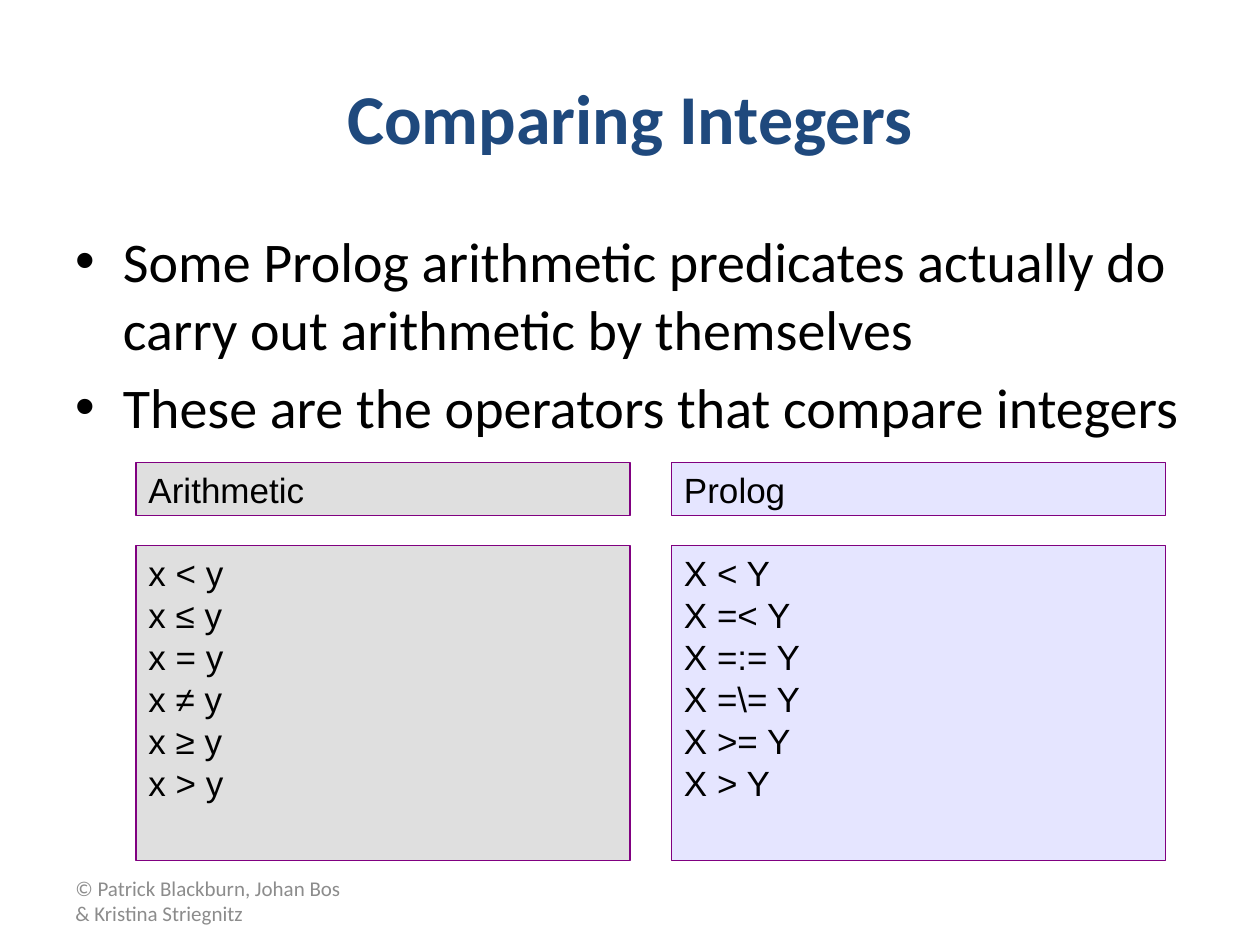
"""Build the slide that compares arithmetic and Prolog operators."""
from lxml import etree
from pptx import Presentation
from pptx.dml.color import RGBColor
from pptx.enum.shapes import MSO_SHAPE
from pptx.enum.text import MSO_ANCHOR, PP_ALIGN
from pptx.oxml.ns import qn
from pptx.util import Inches, Pt

NAVY = RGBColor(0x1F, 0x49, 0x7D)
BLACK = RGBColor(0, 0, 0)
GRAY = RGBColor(0x8C, 0x8C, 0x8C)
SILVER = RGBColor(0xC0, 0xC0, 0xC0)
LAVENDER = RGBColor(0xCC, 0xCC, 0xFF)
PURPLE = RGBColor(0x80, 0, 0x80)


def add_run(p, text, size, font, color, bold=False):
    r = p.add_run()
    r.text = text
    r.font.size, r.font.name, r.font.bold = Pt(size), font, bold
    r.font.color.rgb = color


def place(sp, left, top, width, height):
    sp.left, sp.top = Inches(left), Inches(top)
    sp.width, sp.height = Inches(width), Inches(height)


prs = Presentation()
prs.slide_width, prs.slide_height = Inches(10), Inches(7.5)
s = prs.slides.add_slide(prs.slide_layouts[1])
title, body = s.placeholders

place(title, 0.5, 0.3, 9, 1.25)
title.text_frame.vertical_anchor = MSO_ANCHOR.MIDDLE
p = title.text_frame.paragraphs[0]
p.alignment = PP_ALIGN.CENTER
add_run(p, "Comparing Integers", 40, "Calibri", NAVY, True)

place(body, 0.5, 1.75, 9, 4.95)
points = [
    "Some Prolog arithmetic predicates actually do carry out arithmetic by themselves",
    "These are the operators that compare integers",
]
tf = body.text_frame
for i, point in enumerate(points):
    p = tf.add_paragraph() if i else tf.paragraphs[0]
    add_run(p, point, 32, "Calibri", BLACK)

columns = [
    (SILVER, "Arithmetic", ["x < y", "x ≤ y", "x = y", "x ≠ y", "x ≥ y", "x > y"]),
    (LAVENDER, "Prolog", ["X < Y", "X =< Y", "X =:= Y", "X =\\= Y", "X >= Y", "X > Y"]),
]
for col, (color, heading, operators) in enumerate(columns):
    for top, height, lines in [(3.67, 0.42, [heading]), (4.33, 2.5, operators)]:
        sp = s.shapes.add_shape(MSO_SHAPE.RECTANGLE, 0, 0, 0, 0)
        place(sp, 1.08 + col * 4.25, top, 3.92, height)
        sp.shadow.inherit = False
        sp.fill.solid()
        sp.fill.fore_color.rgb = color
        tint = sp.fill._xPr.find(qn("a:solidFill"))[0]
        etree.SubElement(tint, qn("a:alpha"), val="50000")
        sp.line.color.rgb, sp.line.width = PURPLE, Pt(0.75)
        tf = sp.text_frame
        tf.word_wrap, tf.vertical_anchor = True, MSO_ANCHOR.TOP
        for i, line in enumerate(lines):
            p = tf.add_paragraph() if i else tf.paragraphs[0]
            p.alignment = PP_ALIGN.LEFT
            pPr = p._p.get_or_add_pPr()
            pPr.set("marL", str(Inches(0.38)))
            pPr.set("indent", str(-Inches(0.38)))
            add_run(p, line, 20, "Arial", BLACK)

footer = s.shapes.add_textbox(0, 0, 0, 0)
place(footer, 0.5, 6.95, 2.33, 0.4)
tf = footer.text_frame
tf.word_wrap, tf.vertical_anchor = True, MSO_ANCHOR.MIDDLE
add_run(tf.paragraphs[0], "© Patrick Blackburn, Johan Bos & Kristina Striegnitz", 12, "Calibri", GRAY)

prs.save("out.pptx")
